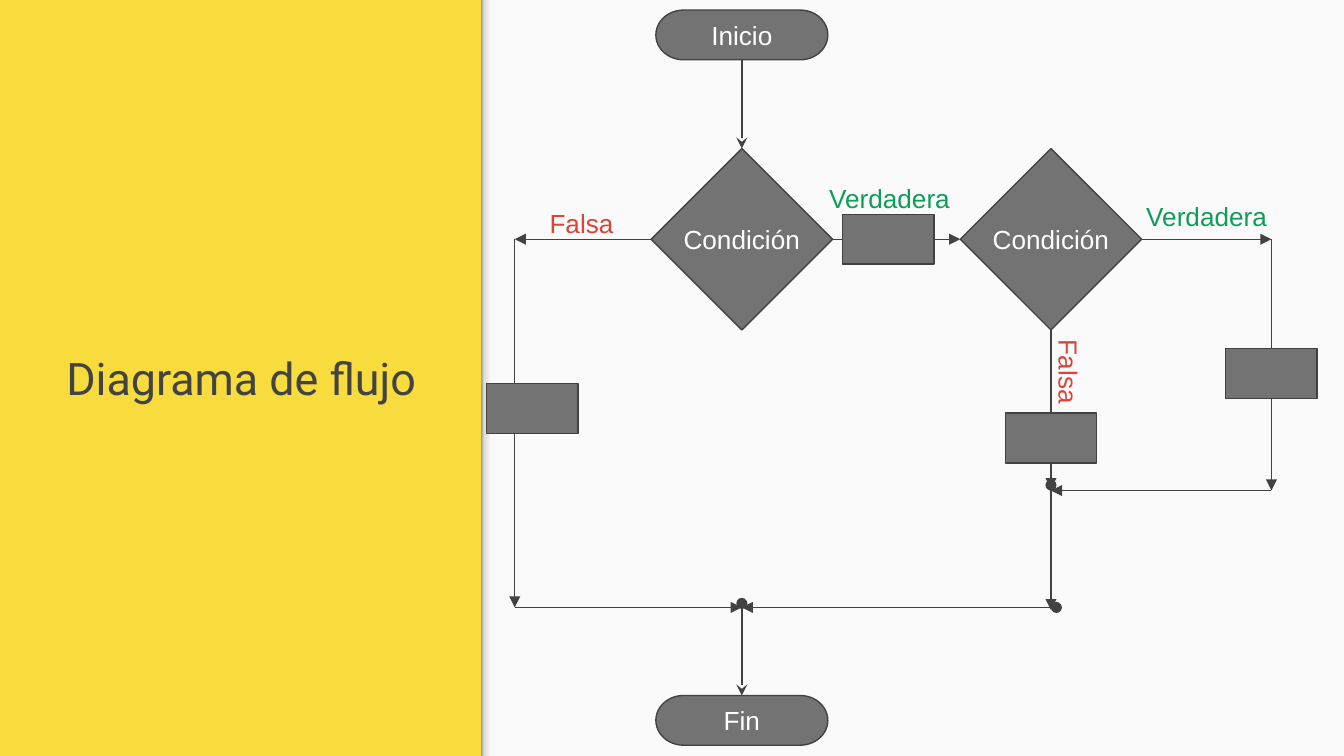
from lxml import etree
from pptx import Presentation
from pptx.dml.color import RGBColor
from pptx.enum.shapes import MSO_CONNECTOR, MSO_SHAPE
from pptx.enum.text import MSO_ANCHOR, PP_ALIGN
from pptx.oxml import parse_xml
from pptx.oxml.ns import nsdecls, qn
from pptx.util import Inches, Pt

STRAIGHT = MSO_CONNECTOR.STRAIGHT
RECT, DIAMOND = MSO_SHAPE.RECTANGLE, MSO_SHAPE.DIAMOND
TERMINATOR, PROCESS = MSO_SHAPE.FLOWCHART_TERMINATOR, MSO_SHAPE.FLOWCHART_PROCESS
CENTER, LEFT = PP_ALIGN.CENTER, PP_ALIGN.LEFT
MIDDLE, ANCHOR_TOP = MSO_ANCHOR.MIDDLE, MSO_ANCHOR.TOP
TOP_SIDE, LEFT_SIDE, BOTTOM_SIDE, RIGHT_SIDE = range(4)

YELLOW = RGBColor(0xF8, 0xDC, 0x3D)
PAPER = RGBColor(0xFA, 0xFA, 0xFA)
GRAY = RGBColor(0x73, 0x73, 0x73)
DARK = RGBColor(0x42, 0x42, 0x42)
TITLE_COLOR = RGBColor(0x43, 0x43, 0x43)
WHITE = RGBColor(0xFF, 0xFF, 0xFF)
GREEN = RGBColor(0x0F, 0x9D, 0x58)
RED = RGBColor(0xDB, 0x44, 0x37)

SLIDE_W = 10
SLIDE_H = SLIDE_W * 9 / 16
PANEL_X = 3.58
SHADOW_STOPS = [(0, "999999"), (20, "DEDEDE"), (64, "F9F9F9"), (100, "F9F9F9")]

# Columns and rows that the diagram hangs on
FALSE_X, MAIN_X, SECOND_X, TRUE_X = 3.83, 5.52, 7.82, 9.46
START_Y, TEST_Y, MERGE_Y, JOIN_Y, END_Y = 0.26, 1.78, 3.65, 4.52, 5.36

SIZES = {TERMINATOR: (1.28, 0.37), DIAMOND: (1.35, 1.35), PROCESS: (0.68, 0.37)}

# name: (preset, centre x, centre y, text)
NODES = {
    "start": (TERMINATOR, MAIN_X, START_Y, "Inicio"),
    "first": (DIAMOND, MAIN_X, TEST_Y, "Condición"),
    "second": (DIAMOND, SECOND_X, TEST_Y, "Condición"),
    "end": (TERMINATOR, MAIN_X, END_Y, "Fin"),
}
PROCESSES = [(3.96, 3.04), (6.61, TEST_Y), (SECOND_X, 3.26), (TRUE_X, 2.78)]

# (from, to, head, tail); an end is a point or a node's side
ARROWS = [
    (("start", BOTTOM_SIDE), ("first", TOP_SIDE), None, "stealth"),
    (("first", RIGHT_SIDE), ("second", LEFT_SIDE), None, "triangle"),
    (("first", LEFT_SIDE), (FALSE_X, TEST_Y), None, "triangle"),
    ((FALSE_X, TEST_Y), (FALSE_X, JOIN_Y), None, "triangle"),
    ((FALSE_X, JOIN_Y), (MAIN_X, JOIN_Y), None, "triangle"),
    (("second", RIGHT_SIDE), (TRUE_X, TEST_Y), None, "triangle"),
    ((TRUE_X, TEST_Y), (TRUE_X, MERGE_Y), None, "triangle"),
    ((TRUE_X, MERGE_Y), (SECOND_X, MERGE_Y), None, "triangle"),
    (("second", BOTTOM_SIDE), (SECOND_X, 3.64), None, "triangle"),
    ((SECOND_X, 3.61), (SECOND_X, 4.54), "oval", "triangle"),
    ((7.86, JOIN_Y), (MAIN_X, JOIN_Y), "oval", "triangle"),
    ((MAIN_X, 4.49), ("end", TOP_SIDE), "oval", "stealth"),
]

# (text, left, top, width, colour, rotation)
LABELS = [
    ("Falsa", 3.99, 1.44, 0.71, RED, 0),
    ("Verdadera", 6.07, 1.26, 1.15, GREEN, 0),
    ("Verdadera", 8.43, 1.39, 1.15, GREEN, 0),
    ("Falsa", 7.55, 2.52, 0.71, RED, 90),
]


def write(s, text, color, size=14, font="Arial", align=CENTER, anchor=MIDDLE,
          margin=0.1, wrap=True):
    tf = s.text_frame
    frame = dict.fromkeys(
        ("margin_left", "margin_top", "margin_right", "margin_bottom"), Inches(margin))
    frame.update(word_wrap=wrap, vertical_anchor=anchor)
    for name, value in frame.items():
        setattr(tf, name, value)
    p = tf.paragraphs[0]
    p.alignment = align
    r = p.add_run()
    r.text = text
    for name, value in {"name": font, "size": Pt(size), "bold": False}.items():
        setattr(r.font, name, value)
    r.font.color.rgb = color


def add_box(preset, x, y, w, h, fill):
    s = slide.shapes.add_shape(preset, Inches(x), Inches(y), Inches(w), Inches(h))
    s.shadow.inherit = False
    s.fill.solid()
    s.fill.fore_color.rgb = fill
    s.line.fill.background()
    return s


def add_node(preset, cx, cy, text=""):
    w, h = SIZES[preset]
    s = add_box(preset, cx - w / 2, cy - h / 2, w, h, GRAY)
    s.line.color.rgb = DARK
    s.line.width = Pt(0.75)
    if text:
        write(s, text, WHITE, margin=0, wrap=False)
    return s


def add_arrow(start, end, head, tail):
    points = [(0, 0) if isinstance(e[0], str) else e for e in (start, end)]
    c = slide.shapes.add_connector(STRAIGHT, *(Inches(v) for pt in points for v in pt))
    for e, connect in ((start, c.begin_connect), (end, c.end_connect)):
        if isinstance(e[0], str):
            connect(nodes[e[0]], e[1])
    c.line.color.rgb = DARK
    c.line.width = Pt(0.75)
    ln = c.line._get_or_add_ln()
    for tag, kind in (("a:headEnd", head), ("a:tailEnd", tail)):
        if kind:
            etree.SubElement(ln, qn(tag), type=kind)
    etree.SubElement(c._element.spPr, qn("a:effectLst"))


def add_panel_shadow():
    s = add_box(RECT, PANEL_X, 0, 0.12, SLIDE_H, PAPER)
    stops = "".join(f'<a:gs pos="{pos * 1000}"><a:srgbClr val="{color}"/></a:gs>'
                    for pos, color in SHADOW_STOPS)
    solid = s._element.spPr.find(qn("a:solidFill"))
    solid.getparent().replace(solid, parse_xml(
        f'<a:gradFill {nsdecls("a")}><a:gsLst>{stops}</a:gsLst><a:lin ang="0"/></a:gradFill>'))


prs = Presentation()
prs.slide_width, prs.slide_height = Inches(SLIDE_W), Inches(SLIDE_H)
slide = prs.slides.add_slide(prs.slide_layouts[5])
slide.background.fill.solid()
slide.background.fill.fore_color.rgb = YELLOW

title = slide.shapes.title
for name, value in {"left": 0.26, "top": 2.29, "width": 3.07, "height": 1.04}.items():
    setattr(title, name, Inches(value))
write(title, "Diagrama de flujo", TITLE_COLOR, size=24, font="Roboto")

add_box(RECT, PANEL_X, 0, SLIDE_W - PANEL_X, SLIDE_H, PAPER)
add_panel_shadow()
nodes = {name: add_node(*node) for name, node in NODES.items()}
for arrow in ARROWS:
    add_arrow(*arrow)
for center in PROCESSES:
    add_node(PROCESS, *center)
for text, x, y, w, color, rotation in LABELS:
    label = slide.shapes.add_textbox(Inches(x), Inches(y), Inches(w), Inches(0.53))
    label.rotation = rotation
    write(label, text, color, align=LEFT, anchor=ANCHOR_TOP)

prs.save("out.pptx")
